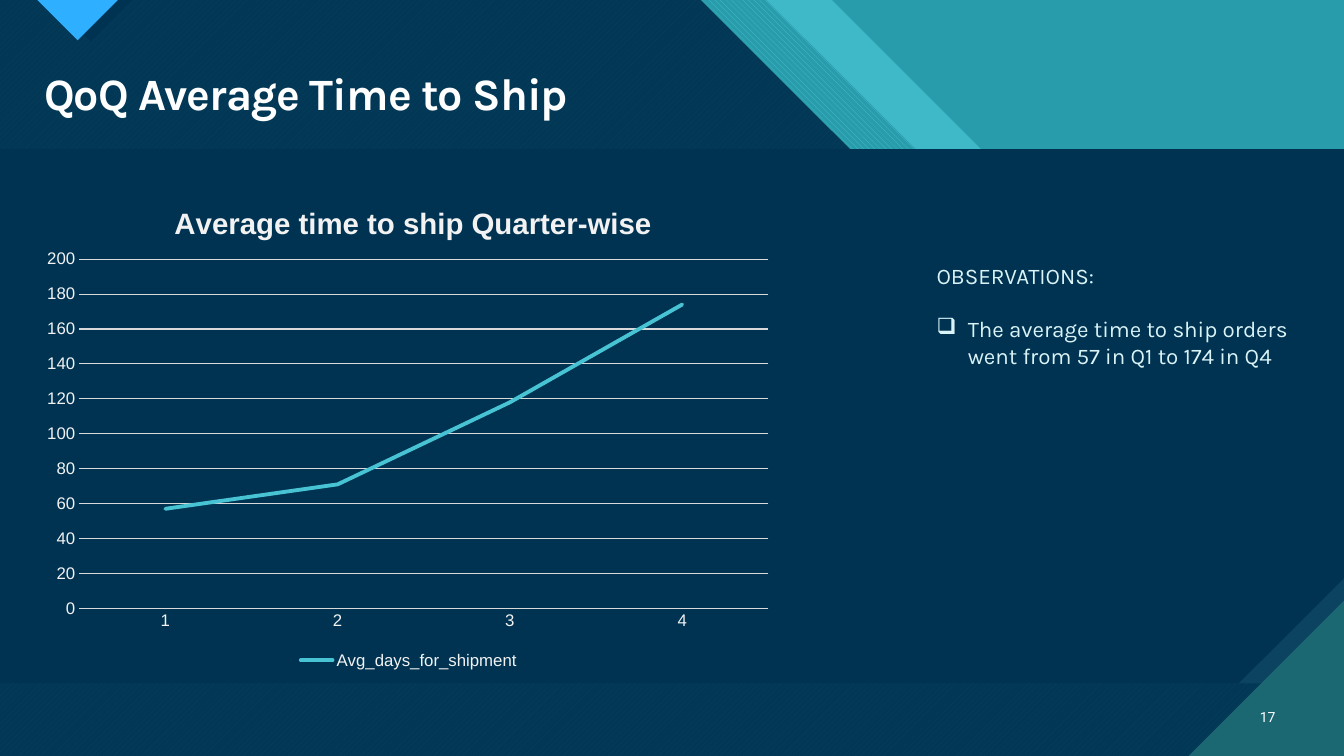
from lxml import etree
from pptx import Presentation
from pptx.chart.data import CategoryChartData
from pptx.dml.color import RGBColor
from pptx.enum.chart import XL_CHART_TYPE as ChartType, XL_LEGEND_POSITION as LegendPos, XL_TICK_MARK as Tick
from pptx.enum.dml import MSO_PATTERN as Pattern
from pptx.enum.shapes import MSO_SHAPE as Shape
from pptx.enum.text import MSO_ANCHOR as Anchor, PP_ALIGN as Align
from pptx.oxml.ns import qn
from pptx.util import Inches, Pt

# Content
TITLE = "QoQ Average Time to Ship"
PAGE_NUMBER = "17"
HEADING = "OBSERVATIONS:"
OBSERVATION = "The average time to ship orders went from 57 in Q1 to 174 in Q4"
CHART_TITLE = "Average time to ship Quarter-wise"
SERIES = "Avg_days_for_shipment"
QUARTERS = ["1", "2", "3", "4"]
DAYS = [57, 71, 118, 174]

# Colours and measures in inches
NAVY, TEAL, AQUA, GREEN = "003352", "299CAB", "47C3D3", "1B6872"
BLUE, SLATE, WHITE, PALE = "2FAFFF", "0C4360", "FFFFFF", "F2F2F2"
WIDTH, HEIGHT = 13.33, 7.5
PANEL = (0, 1.48, WIDTH, 5.3)
CHART = (0.34, 1.73, 7.43, 4.95)
CORNER = 1.54


def stripe(edge, notch):
    """Outline left of a diagonal that starts at edge and steps at 2.97."""
    step = 2.97
    return [(0, 0), (edge, 0), (edge + step, step), (notch, step),
            (WIDTH, step + WIDTH - notch), (WIDTH, HEIGHT), (0, HEIGHT)]


def pointer(center, depth):
    return [(center - depth, 0), (center, depth), (center + depth, 0)]


# Outline, fill colour, opacity in percent, pattern with its back colour
BACKDROP = [
    (stripe(8.25, 12.34), AQUA, 74, None),
    (stripe(7.6, 11.84), AQUA, 100, (Pattern.WIDE_DOWNWARD_DIAGONAL, TEAL)),
    (stripe(6.95, 11.18), AQUA, 100, (Pattern.WIDE_UPWARD_DIAGONAL, GREEN)),
    (stripe(6.95, 11.18), NAVY, 90, None),
    (pointer(0.9, 0.41), NAVY, 100, None),
    (pointer(0.77, 0.4), BLUE, 100, None),
]
CORNER_OUTLINE = [(WIDTH - CORNER, HEIGHT), (WIDTH, HEIGHT), (WIDTH, HEIGHT - CORNER)]


def color(value):
    return RGBColor.from_string(value)


def inches(values):
    return [Inches(value) for value in values]


def paint(shape, value, opacity=100, pattern=None):
    shape.shadow.inherit = False
    shape.line.fill.background()
    if pattern:
        shape.fill.patterned()
        shape.fill.pattern = pattern[0]
        shape.fill.fore_color.rgb = color(value)
        shape.fill.back_color.rgb = color(pattern[1])
        return
    shape.fill.solid()
    shape.fill.fore_color.rgb = color(value)
    if opacity < 100:
        tone = shape.element.spPr.find(".//" + qn("a:srgbClr"))
        etree.SubElement(tone, qn("a:alpha"), val=str(opacity * 1000))


def add_outline(page, points, *look):
    builder = page.shapes.build_freeform(*inches(points[0]), scale=1.0)
    builder.add_line_segments([inches(point) for point in points[1:]], close=True)
    paint(builder.convert_to_shape(), *look)


def add_block(page, preset, place, value):
    shape = page.shapes.add_shape(preset, *inches(place))
    paint(shape, value)
    return shape


def style(font, value, **formats):
    font.color.rgb = color(value)
    for name, setting in formats.items():
        setattr(font, name, setting)


def add_text(page, place, lines, value, anchor=Anchor.TOP, **formats):
    box = page.shapes.add_textbox(*inches(place))
    frame = box.text_frame
    frame.word_wrap, frame.vertical_anchor = True, anchor
    for index, line in enumerate(lines):
        para = frame.add_paragraph() if index else frame.paragraphs[0]
        span = para.add_run()
        span.text = line
        style(span.font, value, **formats)
    return frame.paragraphs


def set_layout(parent, index, **fractions):
    """Place a chart part by fractions of the chart area."""
    for old in parent.findall(qn("c:layout")):
        parent.remove(old)
    layout = etree.Element(qn("c:layout"))
    manual = etree.SubElement(layout, qn("c:manualLayout"))
    if "w" in fractions:
        etree.SubElement(manual, qn("c:layoutTarget"), val="inner")
    for name in ("xMode", "yMode"):
        etree.SubElement(manual, qn("c:" + name), val="edge")
    for name, fraction in fractions.items():
        etree.SubElement(manual, qn("c:" + name), val=str(fraction))
    parent.insert(index, layout)


def add_line_chart(page):
    data = CategoryChartData()
    data.categories = QUARTERS
    data.add_series(SERIES, DAYS)
    chart = page.shapes.add_chart(ChartType.LINE, *inches(CHART), data).chart
    style(chart.font, PALE, name="Arial", size=Pt(12))

    # Title and legend
    chart.has_title = True
    span = chart.chart_title.text_frame.paragraphs[0].add_run()
    span.text = CHART_TITLE
    style(span.font, PALE, name="Arial", size=Pt(21), bold=True)
    chart.has_legend = True
    chart.legend.position = LegendPos.BOTTOM
    chart.legend.include_in_layout = False
    style(chart.legend.font, PALE, name="Arial", size=Pt(12))

    # Axes and grid
    for axis in (chart.category_axis, chart.value_axis):
        axis.major_tick_mark = axis.minor_tick_mark = Tick.NONE
        style(axis.tick_labels.font, PALE, name="Arial", size=Pt(12))
    values = chart.value_axis
    values.minimum_scale, values.maximum_scale, values.major_unit = 0, 200, 20
    values.format.line.fill.background()
    for line, width in ((chart.category_axis.format.line, 1),
                        (values.major_gridlines.format.line, 0.75)):
        line.color.rgb, line.width = color("D9D9D9"), Pt(width)

    # Series
    plot = chart.plots[0]
    plot.vary_by_categories = False
    series = plot.series[0]
    series.smooth = False
    series.format.line.color.rgb = color(AQUA)
    series.format.line.width = Pt(2.75)
    series.format.line._get_or_add_ln().set("cap", "rnd")

    area = chart.element.find(".//" + qn("c:plotArea"))
    set_layout(area, 0, x=0.06, y=0.17, w=0.92, h=0.7)
    set_layout(chart.element.find(".//" + qn("c:title")), 1, x=0.18, y=0.05)


def main():
    deck = Presentation()
    deck.slide_width, deck.slide_height = inches((WIDTH, HEIGHT))
    page = deck.slides.add_slide(deck.slide_layouts[6])
    page.background.fill.solid()
    page.background.fill.fore_color.rgb = color(AQUA)

    # Backdrop
    add_block(page, Shape.RECTANGLE, (0, 0, WIDTH, HEIGHT), TEAL)
    for layer in BACKDROP:
        add_outline(page, *layer)
    add_block(page, Shape.RECTANGLE, PANEL, SLATE)
    panel = add_block(page, Shape.SNIP_1_RECTANGLE, PANEL, NAVY)
    panel.adjustments[0] = 0.197
    panel.element.spPr.xfrm.set("flipV", "1")
    add_outline(page, CORNER_OUTLINE, GREEN)

    # Title and page number
    title = add_text(page, (0.34, 0.66, 12.26, 0.55), [TITLE], WHITE,
                     name="Karla", size=Pt(32), bold=True)[0]
    title.line_spacing = 0.9
    title.runs[0].font._element.set("spc", "-70")
    number = add_text(page, (12.31, 6.91, 0.44, 0.4), [PAGE_NUMBER], WHITE, Anchor.MIDDLE,
                      name="Roboto", size=Pt(10))[0]
    number.alignment = Align.RIGHT

    add_line_chart(page)

    # Observations
    note = add_text(page, (9.19, 2.55, 3.72, 1.72), [HEADING, OBSERVATION], "DAF3F6",
                    name="Karla", size=Pt(16))[1]
    note.space_before = Pt(19)
    props = note._p.get_or_add_pPr()
    indent = Inches(0.31)
    props.set("marL", str(indent))
    props.set("indent", str(-indent))
    etree.SubElement(props, qn("a:buChar"), char="❑")

    deck.save("out.pptx")


if __name__ == "__main__":
    main()
